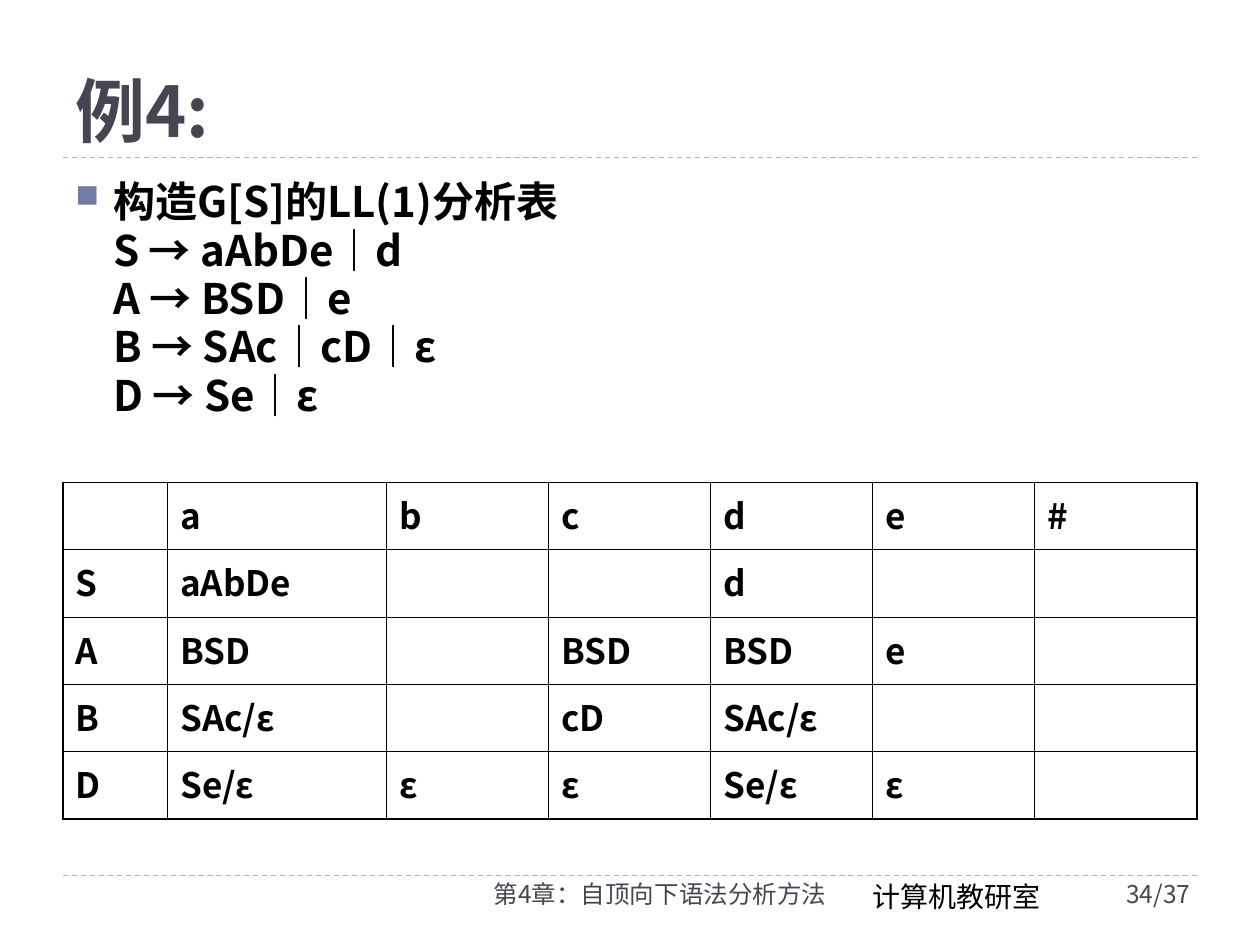
from dataclasses import dataclass

from lxml import etree
from pptx import Presentation
from pptx.dml.color import RGBColor
from pptx.enum.dml import MSO_LINE
from pptx.enum.shapes import MSO_CONNECTOR
from pptx.enum.text import MSO_ANCHOR, MSO_AUTO_SIZE, PP_ALIGN
from pptx.oxml.ns import qn
from pptx.util import Inches, Pt

DASH = MSO_LINE.DASH
STRAIGHT = MSO_CONNECTOR.STRAIGHT
TOP, BOTTOM = MSO_ANCHOR.TOP, MSO_ANCHOR.BOTTOM
NO_FIT = MSO_AUTO_SIZE.NONE
LEFT, RIGHT = PP_ALIGN.LEFT, PP_ALIGN.RIGHT


@dataclass(frozen=True)
class Theme:
    """Colours, fonts, type sizes and line widths."""
    ink: str = "000000"
    heading: str = "464653"
    rule: str = "9FB8CD"
    bullet: str = "727CA3"
    bold_font: str = "Noto Sans CJK SC"
    plain_font: str = "Noto Sans CJK JP"
    title_size: int = 40
    body_size: int = 24
    cell_size: int = 20
    office_size: int = 16
    footer_size: int = 14
    rule_width: float = 0.75
    grid_width: float = 0.45
    frame_width: float = 1.08


THEME = Theme()

GRAMMAR = ["S → aAbDe｜d", "A → BSD｜e", "B → SAc｜cD｜ε", "D → Se｜ε"]
PARSE_TABLE = [
    ["", "a", "b", "c", "d", "e", "#"],
    ["S", "aAbDe", "", "", "d", "", ""],
    ["A", "BSD", "", "BSD", "BSD", "e", ""],
    ["B", "SAc/ε", "", "cD", "SAc/ε", "", ""],
    ["D", "Se/ε", "ε", "ε", "Se/ε", "ε", ""],
]


def write(para, text, *, size, color=THEME.ink, bold=False, align=LEFT,
          before=0, spacing=1.0):
    """Write text into a paragraph with the given format."""
    para.alignment = align
    para.space_before = Pt(before)
    para.line_spacing = spacing
    span = para.add_run()
    span.text = text
    span.font.size = Pt(size)
    span.font.bold = bold
    span.font.color.rgb = RGBColor.from_string(color)
    font = THEME.bold_font if bold else THEME.plain_font
    span.font.name = font
    east_asian = etree.Element(qn("a:ea"), typeface=font)
    span.font._element.find(qn("a:latin")).addnext(east_asian)


def indent(para, margin, first_line=0, bullet=None):
    """Indent a paragraph and give it an optional square bullet."""
    props = para._p.get_or_add_pPr()
    props.set("marL", str(Inches(margin)))
    props.set("indent", str(Inches(first_line)))
    if bullet:
        color = etree.SubElement(props, qn("a:buClr"))
        etree.SubElement(color, qn("a:srgbClr"), val=THEME.bullet)
        etree.SubElement(props, qn("a:buSzPct"), val="76000")
        etree.SubElement(props, qn("a:buChar"), char=bullet)


def add_text_box(page, box):
    """Add a wrapping text box and return its text frame."""
    frame = page.shapes.add_textbox(*map(Inches, box)).text_frame
    frame.word_wrap = True
    frame.auto_size = NO_FIT
    return frame


def add_rule(page, left, top, width):
    """Draw a dashed horizontal rule."""
    rule = page.shapes.add_connector(
        STRAIGHT, Inches(left), Inches(top), Inches(left + width), Inches(top))
    rule.line.color.rgb = RGBColor.from_string(THEME.rule)
    rule.line.width = Pt(THEME.rule_width)
    rule.line.dash_style = DASH
    etree.SubElement(rule._element.spPr, qn("a:effectLst"))


def add_title(page, box, text):
    """Place the title with a rule along the bottom of its box."""
    left, top, width, height = box
    title = page.shapes.title
    title.left, title.top, title.width, title.height = map(Inches, box)
    frame = title.text_frame
    frame.auto_size = NO_FIT
    frame.vertical_anchor = BOTTOM
    write(frame.paragraphs[0], text, size=THEME.title_size,
          color=THEME.heading, bold=True)
    add_rule(page, left, top + height, width)


def add_grammar(page, box, heading, productions):
    """List the productions under a bulleted heading."""
    frame = add_text_box(page, box)
    frame.margin_top = Inches(0.07)
    style = {"size": THEME.body_size, "bold": True, "spacing": 0.75}
    first = frame.paragraphs[0]
    indent(first, 0.3, -0.3, bullet="■")
    write(first, heading, **style)
    for production in productions:
        para = frame.add_paragraph()
        indent(para, 0.3)
        write(para, production, before=6, **style)


def set_border(cell, side, width):
    """Draw one border of a table cell."""
    line = etree.Element(qn(f"a:{side}"), w=str(Pt(width)))
    fill = etree.SubElement(line, qn("a:solidFill"))
    etree.SubElement(fill, qn("a:srgbClr"), val=THEME.ink)
    props = cell._tc.get_or_add_tcPr()
    props.insert(len(props.findall("*")), line)


def add_parse_table(page, box, rows):
    """Add the parsing table with a thin grid and a heavier frame."""
    width, height = box[2:]
    last_row, last_column = len(rows) - 1, len(rows[0]) - 1
    table = page.shapes.add_table(
        len(rows), len(rows[0]), *map(Inches, box)).table
    table.first_row = table.horz_banding = False
    lead = [0.83, 1.74]
    rest = len(rows[0]) - len(lead)
    widths = lead + [(width - sum(lead)) / rest] * rest
    for column, column_width in zip(table.columns, widths):
        column.width = Inches(column_width)
    for r, row in enumerate(rows):
        table.rows[r].height = Inches(height / len(rows))
        for c, text in enumerate(row):
            cell = table.cell(r, c)
            cell.vertical_anchor = TOP
            outer = {"lnL": c == 0, "lnR": c == last_column,
                     "lnT": r == 0, "lnB": r == last_row}
            for side, framed in outer.items():
                set_border(cell, side,
                           THEME.frame_width if framed else THEME.grid_width)
            cell.fill.background()
            if text:
                write(cell.text_frame.paragraphs[0], text,
                      size=THEME.cell_size, bold=True)


def add_footer(page, box, chapter, office, number):
    """Place the footer rule, chapter, office and page number."""
    left, top, width, height = box
    add_rule(page, left, top + 0.02, width)
    small = {"size": THEME.footer_size, "color": THEME.heading}
    parts = [
        (2.33, 3.83, chapter, {**small, "align": RIGHT}),
        (6.33, 1.66, office, {"size": THEME.office_size}),
        (8.34, 1.08, number, small),
    ]
    for offset, part_width, text, style in parts:
        frame = add_text_box(page, (left + offset, top, part_width, height))
        write(frame.paragraphs[0], text, **style)


def main():
    """Build and save the slide."""
    deck = Presentation()
    deck.slide_width, deck.slide_height = Inches(10), Inches(7.5)
    page = deck.slides.add_slide(deck.slide_layouts[5])
    add_title(page, (0.5, 0.17, 9, 1.08), "例4:")
    add_grammar(page, (0.5, 1.42, 8.96, 2.33), "构造G[S]的LL(1)分析表", GRAMMAR)
    add_parse_table(page, (0.5, 3.83, 9, 2.67), PARSE_TABLE)
    add_footer(page, (0.5, 6.93, 9, 0.4),
               "第4章：自顶向下语法分析方法", "计算机教研室", "34/37")
    deck.save("out.pptx")


if __name__ == "__main__":
    main()
